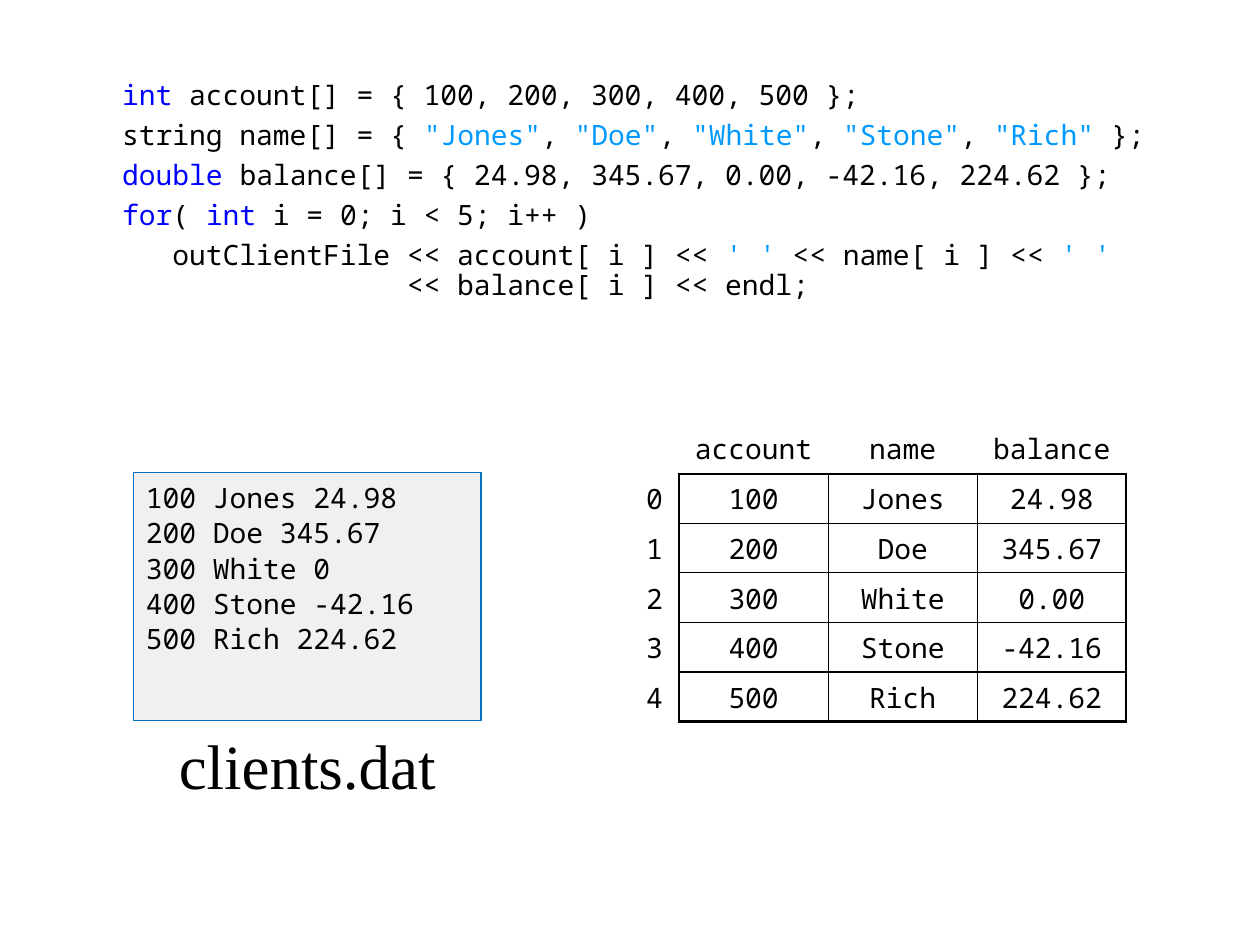
from lxml import etree
from pptx import Presentation
from pptx.dml.color import RGBColor
from pptx.enum.shapes import MSO_SHAPE
from pptx.enum.text import MSO_ANCHOR, MSO_AUTO_SIZE, PP_ALIGN
from pptx.oxml.ns import qn
from pptx.util import Inches, Pt

RECTANGLE = MSO_SHAPE.RECTANGLE
TOP, MIDDLE = MSO_ANCHOR.TOP, MSO_ANCHOR.MIDDLE
NO_FIT = MSO_AUTO_SIZE.NONE
LEFT, CENTER = PP_ALIGN.LEFT, PP_ALIGN.CENTER

BLACK = RGBColor(0x00, 0x00, 0x00)
KEYWORD = RGBColor(0x00, 0x00, 0xFF)
LITERAL = RGBColor(0x00, 0x99, 0xFF)
PANEL_FILL = RGBColor(0xF0, 0xF0, 0xF2)
PANEL_LINE = RGBColor(0x00, 0x70, 0xC0)

MONO = "Noto Sans Mono"
SERIF = "Times New Roman"
TIGHT = 0.88
THICK, THIN = 1.5, 0.75

CLIENTS = [
    ("100", "Jones", "24.98"),
    ("200", "Doe", "345.67"),
    ("300", "White", "0.00"),
    ("400", "Stone", "-42.16"),
    ("500", "Rich", "224.62"),
]
HEADINGS = ("account", "name", "balance")
FILE_LINES = [
    "100 Jones 24.98",
    "200 Doe 345.67",
    "300 White 0",
    "400 Stone -42.16",
    "500 Rich 224.62",
]


def name_array():
    spans = ["string name[] = { "]
    for number, (_, name, _) in enumerate(CLIENTS):
        if number:
            spans.append(", ")
        spans.append((f'"{name}"', LITERAL))
    return spans + [" };"]


CODE_LINES = [
    [("int ", KEYWORD), "account[] = { 100, 200, 300, 400, 500 };"],
    name_array(),
    [("double ", KEYWORD), "balance[] = { 24.98, 345.67, 0.00, -42.16, 224.62 };"],
    [("for", KEYWORD), "( ", ("int", KEYWORD), " i = 0; i < 5; i++ )"],
    ["   outClientFile << account[ i ] << ", ("' '", LITERAL),
     " << name[ i ] << ", ("' '", LITERAL)],
    ["                 << balance[ i ] << endl;"],
]


def write_para(para, spans, font=MONO, size=16, align=LEFT, before=0, after=0, spacing=1.0):
    para.alignment = align
    para.space_before = Pt(before)
    para.space_after = Pt(after)
    para.line_spacing = spacing
    for part in spans:
        text, color = (part, BLACK) if isinstance(part, str) else part
        span = para.add_run()
        span.text = text
        span.font.name = font
        span.font.size = Pt(size)
        span.font.color.rgb = color


def next_para(frame, number):
    return frame.add_paragraph() if number else frame.paragraphs[0]


def remove_bullet(para):
    properties = para._p.get_or_add_pPr()
    properties.set("marL", "0")
    properties.set("indent", "0")
    etree.SubElement(properties, qn("a:buNone"))


def add_code(page, left, top, width, height):
    page.shapes.title.element.getparent().remove(page.shapes.title.element)
    body = page.placeholders[1]
    body.left, body.top, body.width, body.height = left, top, width, height
    frame = body.text_frame
    frame.auto_size = NO_FIT
    frame.word_wrap = True
    frame.vertical_anchor = TOP
    frame.margin_right = 0
    for number, spans in enumerate(CODE_LINES):
        para = next_para(frame, number)
        remove_bullet(para)
        write_para(para, spans, after=6 if number < 4 else 0, spacing=TIGHT)


def add_file(page, left, top, width, height):
    panel = page.shapes.add_shape(RECTANGLE, left, top, width, height)
    panel.shadow.inherit = False
    panel.fill.solid()
    panel.fill.fore_color.rgb = PANEL_FILL
    panel.line.color.rgb = PANEL_LINE
    panel.line.width = Pt(1)
    frame = panel.text_frame
    frame.word_wrap = True
    frame.vertical_anchor = TOP
    frame.margin_left = frame.margin_right = Inches(0.1)
    frame.margin_top = frame.margin_bottom = Inches(0.1)
    for number, line in enumerate(FILE_LINES):
        write_para(next_para(frame, number), [line],
                   before=3.2 if number else 0, spacing=TIGHT)

    caption_width = Inches(2.36)
    caption = page.shapes.add_textbox(left + (width - caption_width) // 2, top + height,
                                      caption_width, Inches(0.79))
    caption.text_frame.word_wrap = False
    write_para(caption.text_frame.paragraphs[0], ["clients.dat"],
               font=SERIF, size=36, align=CENTER)


def rule_width(position, last, across):
    if position == 0 or across == 0:
        return 0
    return THICK if position in (1, last) else THIN


def set_borders(cell, widths):
    properties = cell._tc.get_or_add_tcPr()
    for index, (edge, width) in enumerate(zip(("lnL", "lnR", "lnT", "lnB"), widths)):
        line = etree.Element(qn(f"a:{edge}"), w=str(Pt(width)))
        if width:
            fill = etree.SubElement(line, qn("a:solidFill"))
            etree.SubElement(fill, qn("a:srgbClr"), val=str(BLACK))
        else:
            etree.SubElement(line, qn("a:noFill"))
        properties.insert(index, line)


def add_arrays(page, left, top, width, height):
    rows = [("", *HEADINGS)]
    rows += [(str(index), *client) for index, client in enumerate(CLIENTS)]
    row_count, column_count = len(rows), len(rows[0])
    table = page.shapes.add_table(row_count, column_count, left, top, width, height).table
    table.first_row = table.horz_banding = False
    index_width = Inches(0.39)
    for number, column in enumerate(table.columns):
        column.width = (width - index_width) // len(HEADINGS) if number else index_width
    for row in table.rows:
        row.height = height // row_count
    for r, values in enumerate(rows):
        for c, value in enumerate(values):
            cell = table.cell(r, c)
            cell.fill.background()
            cell.vertical_anchor = MIDDLE
            set_borders(cell, (
                rule_width(c, column_count, r),
                rule_width(c + 1, column_count, r),
                rule_width(r, row_count, c),
                rule_width(r + 1, row_count, c),
            ))
            write_para(cell.text_frame.paragraphs[0], [value], align=CENTER)


def main():
    deck = Presentation()
    deck.slide_width, deck.slide_height = Inches(10), Inches(7.5)
    page = deck.slides.add_slide(deck.slide_layouts[1])
    add_code(page, Inches(0.87), Inches(0.6), Inches(8.27), Inches(2.17))
    add_file(page, Inches(1.06), Inches(3.75), Inches(2.76), Inches(1.97))
    add_arrays(page, Inches(5), Inches(3.36), Inches(3.94), Inches(2.36))
    deck.save("out.pptx")


if __name__ == "__main__":
    main()
